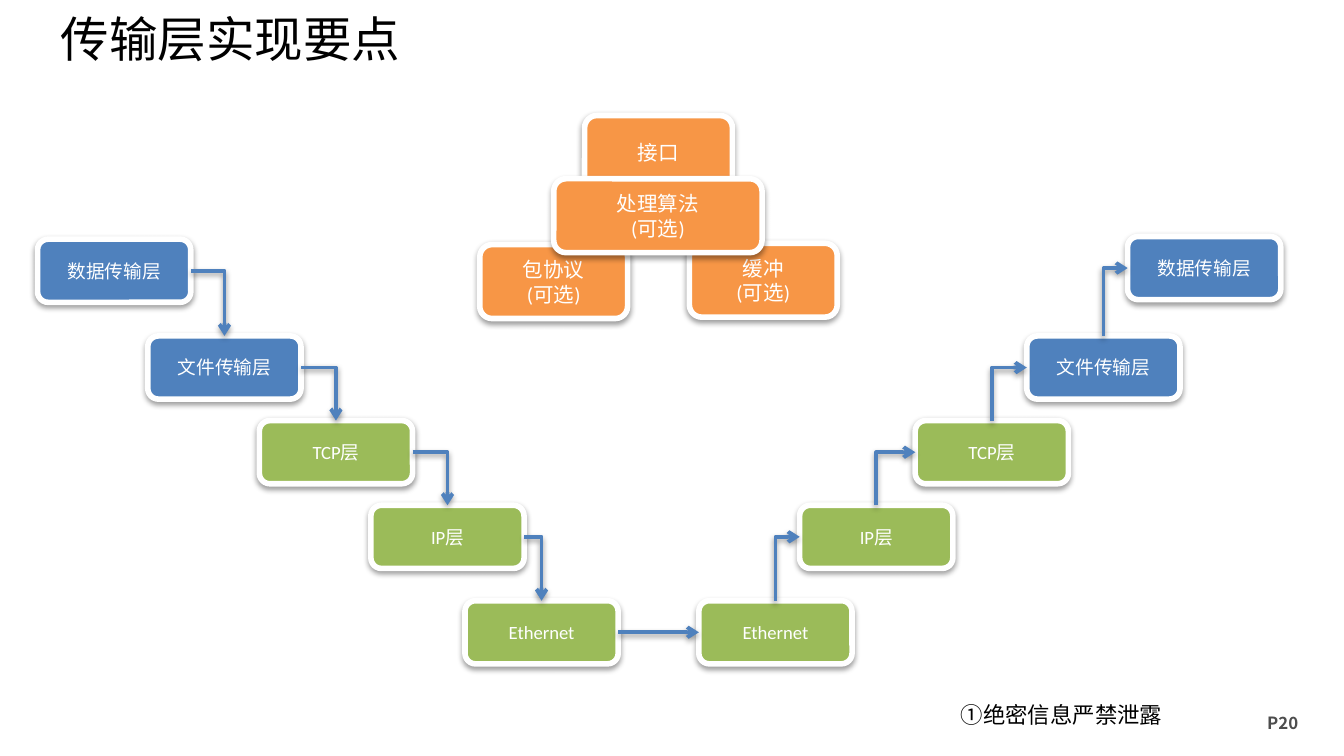
from itertools import pairwise

from lxml.etree import SubElement
from pptx import Presentation
from pptx.dml.color import RGBColor
from pptx.enum.shapes import MSO_CONNECTOR, MSO_SHAPE
from pptx.enum.text import MSO_ANCHOR, PP_ALIGN
from pptx.oxml.ns import qn
from pptx.util import Inches, Pt

BLUE = RGBColor(0x4F, 0x81, 0xBD)
GREEN = RGBColor(0x9B, 0xBB, 0x59)
ORANGE = RGBColor(0xF7, 0x96, 0x46)
WHITE = RGBColor(0xFF, 0xFF, 0xFF)
BLACK = RGBColor(0, 0, 0)
GRAY = RGBColor(0x4D, 0x4D, 0x4D)
CJK = "Noto Sans CJK SC"
TOP, LEFT, RIGHT = 0, 1, 3

LAYERS = [
    ("数据传输层", BLUE),
    ("文件传输层", BLUE),
    ("TCP层", GREEN),
    ("IP层", GREEN),
    ("Ethernet", GREEN),
]
SENDER = [(0.28, 1.78), (1.1, 2.5), (1.93, 3.13), (2.76, 3.76), (3.46, 4.47)]
RECEIVER = [(8.39, 1.76), (7.64, 2.5), (6.81, 3.13), (5.95, 3.76), (5.2, 4.47)]
PARTS = [
    ("缓冲\n(可选)", 5.13, 1.81, 1.1),
    ("接口", 4.35, 0.86, 1.1),
    ("包协议\n(可选)", 3.57, 1.82, 1.1),
    ("处理算法\n(可选)", 4.12, 1.33, 1.55),
]


def write(tf, text, size, color, font=CJK, bold=False, align=PP_ALIGN.LEFT):
    tf.text = text
    for p in tf.paragraphs:
        p.alignment = align
        for r in p.runs:
            r.font.size = Pt(size)
            r.font.bold = bold
            r.font.color.rgb = color
            r.font.name = font
            SubElement(r.font._element, qn("a:ea"), typeface=CJK)


def add_shadow(shape):
    effects = SubElement(shape.element.spPr, qn("a:effectLst"))
    shadow = SubElement(effects, qn("a:outerShdw"), blurRad=str(Pt(3.1)),
                        dist=str(Pt(1.6)), dir="5400000", rotWithShape="0")
    color = SubElement(shadow, qn("a:srgbClr"), val="000000")
    SubElement(color, qn("a:alpha"), val="38000")


def add_box(s, text, x, y, w, h, fill, size):
    box = s.shapes.add_shape(MSO_SHAPE.ROUNDED_RECTANGLE,
                             Inches(x), Inches(y), Inches(w), Inches(h))
    box.fill.solid()
    box.fill.fore_color.rgb = fill
    box.line.color.rgb = WHITE
    box.line.width = Pt(3)
    add_shadow(box)
    box.text_frame.vertical_anchor = MSO_ANCHOR.MIDDLE
    write(box.text_frame, text, size, WHITE, font="Calibri", align=PP_ALIGN.CENTER)
    return box


def add_arrow(s, start, start_site, end, end_site, kind=MSO_CONNECTOR.ELBOW):
    arrow = s.shapes.add_connector(kind, 0, 0, 0, 0)
    arrow.begin_connect(start, start_site)
    arrow.end_connect(end, end_site)
    spPr = arrow.element.spPr
    if kind == MSO_CONNECTOR.ELBOW:
        spPr.find(qn("a:prstGeom")).set("prst", "bentConnector2")
    if start_site == TOP:
        turn_upward(arrow)
    arrow.line.color.rgb = BLUE
    arrow.line.width = Pt(2)
    SubElement(spPr.find(qn("a:ln")), qn("a:tailEnd"), type="arrow")
    add_shadow(arrow)


def turn_upward(arrow):
    x, y, w, h = arrow.left, arrow.top, arrow.width, arrow.height
    arrow.left, arrow.top = x + (w - h) // 2, y + (h - w) // 2
    arrow.width, arrow.height = h, w
    xfrm = arrow.element.spPr.find(qn("a:xfrm"))
    for name, value in (("rot", "5400000"), ("flipH", "1"), ("flipV", "1")):
        xfrm.set(name, value)


def add_label(s, text, x, y, w, h, wrap=True, **fmt):
    tf = s.shapes.add_textbox(Inches(x), Inches(y), Inches(w), Inches(h)).text_frame
    tf.word_wrap = wrap
    write(tf, text, **fmt)


def add_title(s, text):
    title = s.shapes.title
    title.left, title.top = Inches(0.35), Inches(0)
    title.width, title.height = Inches(7.8), Inches(0.57)
    title.text_frame.vertical_anchor = MSO_ANCHOR.MIDDLE
    write(title.text_frame, text, 26, BLACK)


def add_stack(s, places):
    return [add_box(s, text, x, y, 1.14, 0.47, fill, 10)
            for (text, fill), (x, y) in zip(LAYERS, places)]


def main():
    prs = Presentation()
    prs.slide_width, prs.slide_height = Inches(10), Inches(10 * 9 / 16)
    s = prs.slides.add_slide(prs.slide_layouts[5])
    add_title(s, "传输层实现要点")
    add_label(s, "P20", 9.33, 5.25, 0.56, 0.25, size=9, color=GRAY, bold=True)
    add_label(s, "①绝密信息严禁泄露", 7.05, 5.17, 1.72, 0.3, wrap=False,
              size=12, color=BLACK)

    sender = add_stack(s, SENDER)
    receiver = add_stack(s, RECEIVER)
    for upper, lower in pairwise(sender):
        add_arrow(s, upper, RIGHT, lower, TOP)
    for upper, lower in pairwise(receiver):
        add_arrow(s, lower, TOP, upper, LEFT)
    add_arrow(s, sender[-1], RIGHT, receiver[-1], LEFT, MSO_CONNECTOR.STRAIGHT)

    for text, x, y, w in PARTS:
        add_box(s, text, x, y, w, 0.55, ORANGE, 11)
    prs.save("out.pptx")


if __name__ == "__main__":
    main()
